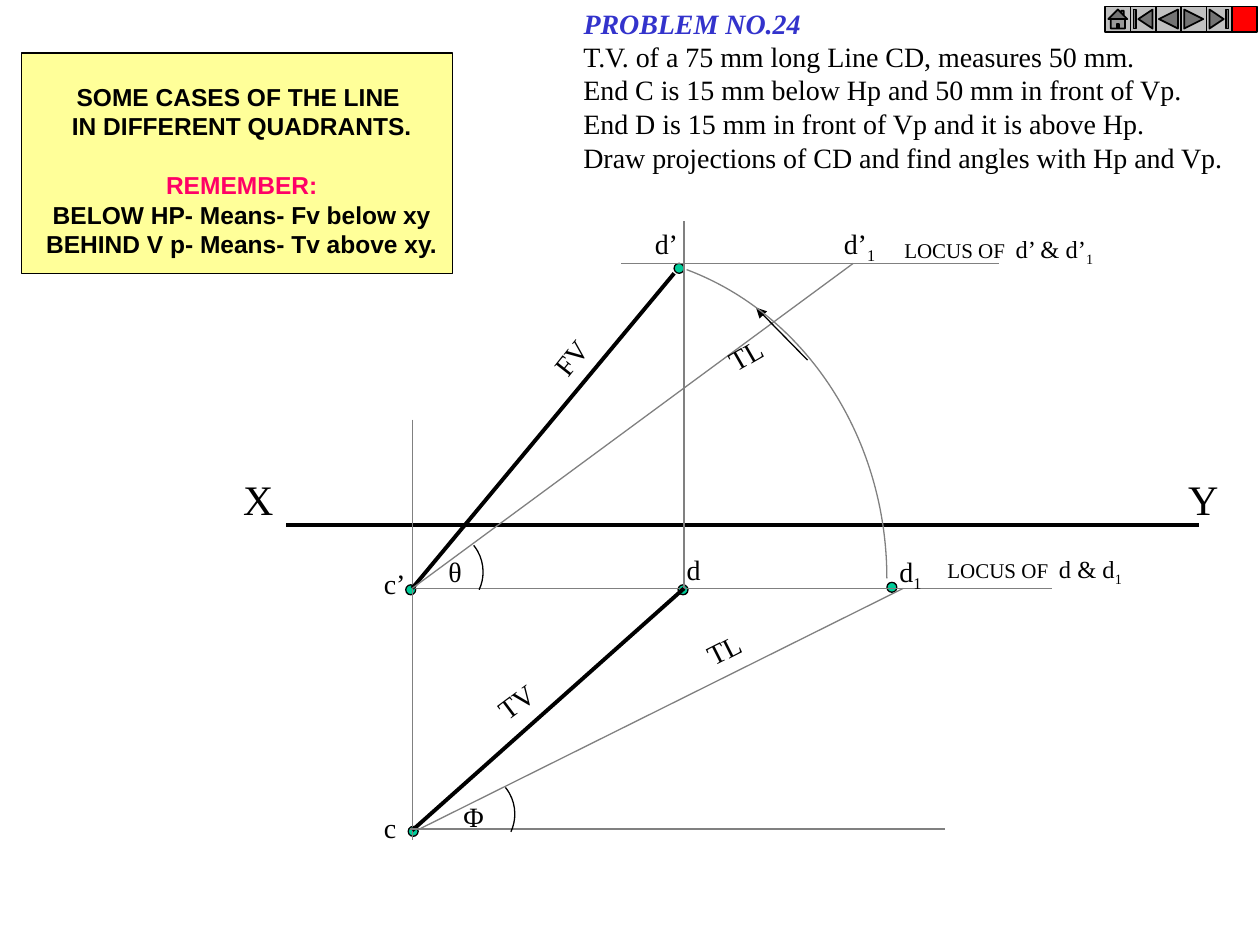
"""Build the slide for projection problem 24: line CD in different quadrants."""
from lxml import etree
from pptx import Presentation
from pptx.dml.color import RGBColor
from pptx.enum.shapes import MSO_CONNECTOR, MSO_SHAPE
from pptx.enum.text import MSO_ANCHOR, MSO_AUTO_SIZE, PP_ALIGN
from pptx.oxml.ns import qn
from pptx.util import Cm, Pt

STRAIGHT = MSO_CONNECTOR.STRAIGHT
RECT, OVAL, ARC = MSO_SHAPE.RECTANGLE, MSO_SHAPE.OVAL, MSO_SHAPE.ARC
TOP, MIDDLE = MSO_ANCHOR.TOP, MSO_ANCHOR.MIDDLE
LEFT, CENTER = PP_ALIGN.LEFT, PP_ALIGN.CENTER
NO_FIT = MSO_AUTO_SIZE.NONE
SERIF, SANS = "Times New Roman", "Arial"
BLACK, GREY = "000000", "808080"
rgb = RGBColor.from_string


def add_shape(kind, x, y, w, h, fill, line=BLACK, width=0.75):
    sp = s.shapes.add_shape(kind, Cm(x), Cm(y), Cm(w), Cm(h))
    sp.shadow.inherit = False
    if fill:
        sp.fill.solid()
        sp.fill.fore_color.rgb = rgb(fill)
    else:
        sp.fill.background()
    sp.line.color.rgb = rgb(line)
    sp.line.width = Pt(width)
    return sp


def add_label(x, y, w, h, runs, angle=0):
    sp = s.shapes.add_textbox(Cm(x), Cm(y), Cm(w), Cm(h))
    sp.rotation = angle
    sp.text_frame.word_wrap = False
    p = sp.text_frame.paragraphs[0]
    p.font.name = SERIF
    p.font.color.rgb = rgb(BLACK)
    for text, size, *baseline in runs:
        r = p.add_run()
        r.text = text
        r.font.size = Pt(size)
        if baseline:
            r.font._element.set("baseline", baseline[0])


prs = Presentation()
prs.slide_width, prs.slide_height = Cm(25.4), Cm(19.05)
s = prs.slides.add_slide(prs.slide_layouts[5])

title = s.shapes.title
title.left, title.top, title.width, title.height = Cm(11.51), Cm(0), Cm(13.46), Cm(0.94)
tf = title.text_frame
tf.text = "PROBLEM NO.24"
tf.auto_size, tf.vertical_anchor, tf.word_wrap = NO_FIT, TOP, False
p = tf.paragraphs[0]
p.alignment = LEFT
p.font.name, p.font.size = SERIF, Pt(16)
p.font.bold = p.font.italic = True
p.font.color.rgb = rgb("3333CC")

statement = [
    "T.V. of a 75 mm long Line CD, measures 50 mm.",
    "End C is 15 mm below Hp and 50 mm in front of Vp.",
    "End D is 15 mm in front of Vp and it is above Hp.",
    "Draw projections of CD and find angles with Hp and Vp.",
]
tf = s.shapes.add_textbox(Cm(11.51), Cm(0.67), Cm(13.46), Cm(2.99)).text_frame
tf.word_wrap = False
tf.text = "\n".join(statement)
for p in tf.paragraphs:
    p.font.name, p.font.size = SERIF, Pt(16)
    p.font.color.rgb = rgb(BLACK)

reminder = [
    "SOME CASES OF THE LINE ",
    "IN DIFFERENT QUADRANTS.",
    "REMEMBER:",
    "BELOW HP- Means- Fv below xy",
    "BEHIND V p- Means- Tv above xy.",
]
tf = add_shape(RECT, 0.43, 1.07, 8.69, 4.45, "FFFF99").text_frame
tf.word_wrap, tf.vertical_anchor = False, MIDDLE
tf.margin_left, tf.margin_right = Cm(0.3), Cm(0.1)
tf.margin_top, tf.margin_bottom = Cm(0.4), Cm(0.13)
tf.text = "\n".join(reminder)
for p in tf.paragraphs:
    heading = p.text == "REMEMBER:"
    p.alignment = CENTER
    p.font.name, p.font.size, p.font.bold = SANS, Pt(14), True
    p.font.color.rgb = rgb("FF0066" if heading else BLACK)
    if heading:
        p.space_before = Pt(17)

for x, y in [(8.28, 11.89), (8.33, 16.76), (13.77, 11.89), (17.98, 11.84), (13.69, 5.41)]:
    add_shape(OVAL, x - 0.1, y - 0.1, 0.2, 0.2, "00CC99")

lines = [
    (5.77, 10.59, 24.18, 10.59, BLACK, 2.25),
    (8.31, 8.46, 8.31, 16.94, GREY, 0.75),
    (8.31, 11.86, 21.21, 11.86, GREY, 0.75),
    (8.31, 16.74, 13.79, 11.86, BLACK, 2.25),
    (8.46, 16.71, 18.21, 11.86, GREY, 0.75),
    (13.79, 11.86, 13.79, 4.45, GREY, 0.75),
    (13.59, 5.51, 8.31, 11.86, BLACK, 2.25),
    (12.52, 5.31, 20.14, 5.31, GREY, 0.75),
    (8.31, 11.86, 17.2, 5.31, GREY, 0.75),
    (8.26, 16.71, 19.05, 16.71, GREY, 0.75),
    (16.28, 7.26, 15.24, 6.2, BLACK, 0.75),
]
for x1, y1, x2, y2, color, width in lines:
    line = s.shapes.add_connector(STRAIGHT, Cm(x1), Cm(y1), Cm(x2), Cm(y2))
    line.line.color.rgb = rgb(color)
    line.line.width = Pt(width)
    etree.SubElement(line._element.spPr, qn("a:effectLst"))
arrow_ln = line.line._get_or_add_ln()
etree.SubElement(arrow_ln, qn("a:tailEnd"), type="triangle")

arcs = [
    (11.94, 11.66, 5.94, 6.57, 287, 0, GREY),
    (8.89, 11.53, 0.85, 0.85, 321, 25, BLACK),
    (9.53, 16.41, 0.85, 0.85, 321, 25, BLACK),
]
for cx, cy, rx, ry, start, end, color in arcs:
    sp = add_shape(ARC, cx - rx, cy - ry, 2 * rx, 2 * ry, None, color)
    sp.adjustments[0], sp.adjustments[1] = start * 0.6, end * 0.6

SUB = ("1", 16, "-25000")
labels = [
    (7.49, 11.3, 0.97, [("c’", 16)]),
    (7.49, 16.21, 0.76, [("c", 16)]),
    (13.59, 11.02, 0.79, [("d", 16)]),
    (17.88, 11.05, 0.99, [("d", 16), SUB]),
    (12.95, 4.45, 0.99, [("d’", 16)]),
    (16.76, 4.45, 1.17, [("d’", 16), SUB]),
    (8.79, 11.05, 0.81, [("θ", 16)]),
    (9.09, 16, 0.94, [("Φ", 16)]),
]
for x, y, w, runs in labels:
    add_label(x, y, w, 0.94, runs)

for x, text in [(4.65, "X"), (23.7, "Y")]:
    add_label(x, 9.42, 1.12, 1.27, [(text, 24)])

for x, y, w, points in [(18.85, 10.69, 4.04, "d & d"), (17.98, 4.24, 4.37, "d’ & d’")]:
    add_label(x, y, w, 1.27, [("LOCUS OF", 12), (" ", 24), (points, 14), ("1", 14, "-25000")])

for x, y, text, angle in [(9.73, 13.54, "TV", 323.2), (10.8, 6.55, "FV", 308.3),
                          (13.97, 12.5, "TL", 333.2), (14.4, 6.55, "TL", 330.1)]:
    add_label(x, y, 1.73, 0.94, [(text, 16)], angle)

buttons = [
    MSO_SHAPE.ACTION_BUTTON_HOME,
    MSO_SHAPE.ACTION_BUTTON_BEGINNING,
    MSO_SHAPE.ACTION_BUTTON_BACK_OR_PREVIOUS,
    MSO_SHAPE.ACTION_BUTTON_FORWARD_OR_NEXT,
    MSO_SHAPE.ACTION_BUTTON_END,
    MSO_SHAPE.ACTION_BUTTON_CUSTOM,
]
for i, kind in enumerate(buttons):
    fill = "FF0000" if kind == buttons[-1] else "C0C0C0"
    add_shape(kind, 22.28 + i * 0.51, 0.13, 0.51, 0.51, fill, BLACK, 1)

prs.save("out.pptx")
